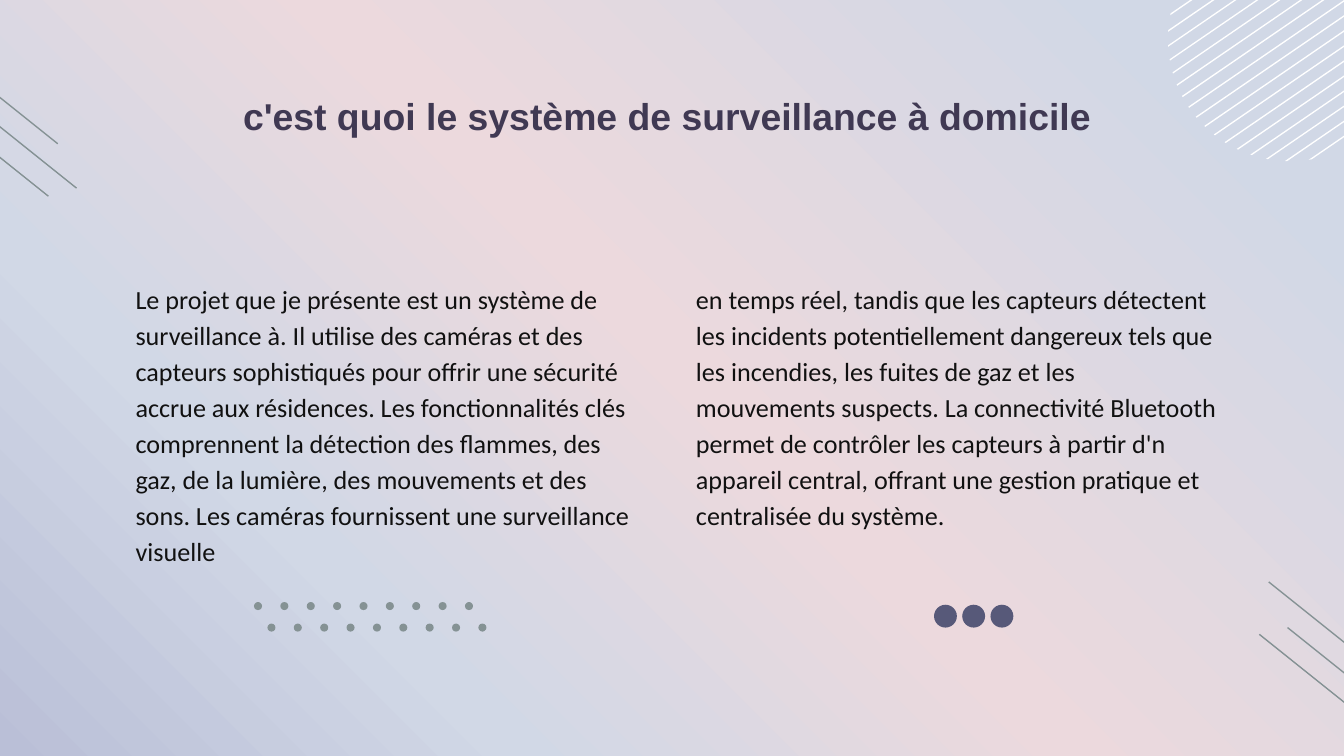
import math
from lxml import etree
from pptx import Presentation, util as u
from pptx.dml.color import RGBColor
from pptx.enum import shapes, text
from pptx.oxml.ns import qn

WIDTH = 10
HEIGHT = WIDTH * 9 / 16
TITLE = "c'est quoi le système de surveillance à domicile "
COLUMNS = [
    (0.91, 3.98, "Le projet que je présente est un système de surveillance à. Il utilise des caméras et des "
     "capteurs sophistiqués pour offrir une sécurité accrue aux résidences. Les fonctionnalités clés "
     "comprennent la détection des flammes, des gaz, de la lumière, des mouvements et des sons. "
     "Les caméras fournissent une surveillance visuelle"),
    (5.08, 4.09, "en temps réel, tandis que les capteurs détectent les incidents potentiellement dangereux "
     "tels que les incendies, les fuites de gaz et les mouvements suspects. La connectivité Bluetooth "
     "permet de contrôler les capteurs à partir d'n appareil central, offrant une gestion pratique et "
     "centralisée du système."),
]
BACKDROP = [(0, "D1D8E6"), (11, "D1D8E6"), (49, "ECD9DD"), (75, "D1D8E6"), (100, "BABFD7")]
STROKE_STARTS = [(-0.23, 0.76), (-0.44, 0.82), (-0.37, 0.43), (9.58, 4.67), (9.37, 4.72), (9.44, 4.33)]
STROKE_RUN, STROKE_RISE = 0.8, 0.64
GREY, NAVY, WHITE = "859294", "575979", "FFFFFF"

DISC_X, DISC_Y, DISC_R = 9.6, 0.29, 0.91
STRIPES, STRIPE_WIDTH = 17, 0.01
FIRST_STRIPE, LAST_STRIPE = -0.66, 0.82
STRIPE_ANGLE = math.radians(34.4)
UNITS_PER_INCH = 10000

DOT_ROWS = [(1.89, 4.48), (1.99, 4.64)]
DOTS_PER_ROW, DOT_SIZE = 9, 0.06
DOT_STEP = (3.56 - 1.99) / (DOTS_PER_ROW - 1)


def colour(value):
    return RGBColor.from_string(value)


def paint(shape, value):
    shape.shadow.inherit = False
    shape.fill.solid()
    shape.fill.fore_color.rgb = colour(value)
    shape.line.fill.background()


def paint_backdrop(slide):
    fill = slide.background.fill
    fill.gradient()
    fill.gradient_angle = 225
    stops = slide.background._cSld.find(".//" + qn("a:gsLst"))
    for old in list(stops):
        stops.remove(old)
    for percent, value in BACKDROP:
        stop = etree.SubElement(stops, qn("a:gs"), pos=str(percent * 1000))
        etree.SubElement(stop, qn("a:srgbClr"), val=value)


def add_stripe(slide, offset):
    def chord_end(distance, side):
        half = side * math.sqrt(DISC_R ** 2 - distance ** 2)
        cos, sin = math.cos(STRIPE_ANGLE), math.sin(STRIPE_ANGLE)
        x, y = DISC_X + distance * sin + half * cos, DISC_Y + distance * cos - half * sin
        return round(x * UNITS_PER_INCH), round(y * UNITS_PER_INCH)

    near, far = offset, offset + STRIPE_WIDTH
    corners = [chord_end(d, s) for d, s in ((near, 1), (near, -1), (far, -1), (far, 1))]
    outline = slide.shapes.build_freeform(*corners[0], scale=u.Inches(1) / UNITS_PER_INCH)
    outline.add_line_segments(corners[1:])
    paint(outline.convert_to_shape(), WHITE)


def add_stroke(slide, x, y):
    ends = [u.Inches(v) for v in (x, y, x + STROKE_RUN, y + STROKE_RISE)]
    stroke = slide.shapes.add_connector(shapes.MSO_CONNECTOR.STRAIGHT, *ends)
    stroke.line.color.rgb = colour(GREY)
    stroke.line.width = u.Pt(0.75)
    etree.SubElement(stroke._element.spPr, qn("a:effectLst"))


def add_text(slide, box, words, font, size, value, bold=False, align=None, spacing=None):
    frame = slide.shapes.add_textbox(*map(u.Inches, box)).text_frame
    frame.word_wrap = True
    frame.margin_left = frame.margin_right = frame.margin_top = frame.margin_bottom = u.Inches(0.1)
    paragraph = frame.paragraphs[0]
    paragraph.alignment = align
    paragraph.line_spacing = spacing
    run = paragraph.add_run()
    run.text = words
    run.font.name, run.font.size, run.font.bold = font, u.Pt(size), bold
    run.font.color.rgb = colour(value)


def add_dot(slide, x, y, size, value):
    dot = slide.shapes.add_shape(shapes.MSO_SHAPE.OVAL, *map(u.Inches, (x, y, size, size)))
    paint(dot, value)


def main():
    deck = Presentation()
    deck.slide_width, deck.slide_height = u.Inches(WIDTH), u.Inches(HEIGHT)
    slide = deck.slides.add_slide(deck.slide_layouts[6])
    paint_backdrop(slide)

    stripe_step = (LAST_STRIPE - FIRST_STRIPE) / (STRIPES - 1)
    for i in range(STRIPES):
        add_stripe(slide, FIRST_STRIPE + i * stripe_step)
    for x, y in STROKE_STARTS:
        add_stroke(slide, x, y)

    add_text(slide, (0.79, 0.59, 8.43, 0.52), TITLE, "Arial", 20, "403953",
             bold=True, align=text.PP_ALIGN.CENTER)
    for left, width, words in COLUMNS:
        add_text(slide, (left, 1.97, width, 2.08), words, "Calibri", 14, "111111",
                 align=text.PP_ALIGN.LEFT, spacing=1.15)

    for i in range(3):
        add_dot(slide, 6.95 + i * 0.21, 4.5, 0.17, NAVY)
    for left, top in DOT_ROWS:
        for i in range(DOTS_PER_ROW):
            add_dot(slide, left + i * DOT_STEP, top, DOT_SIZE, GREY)

    deck.save("out.pptx")


if __name__ == "__main__":
    main()
